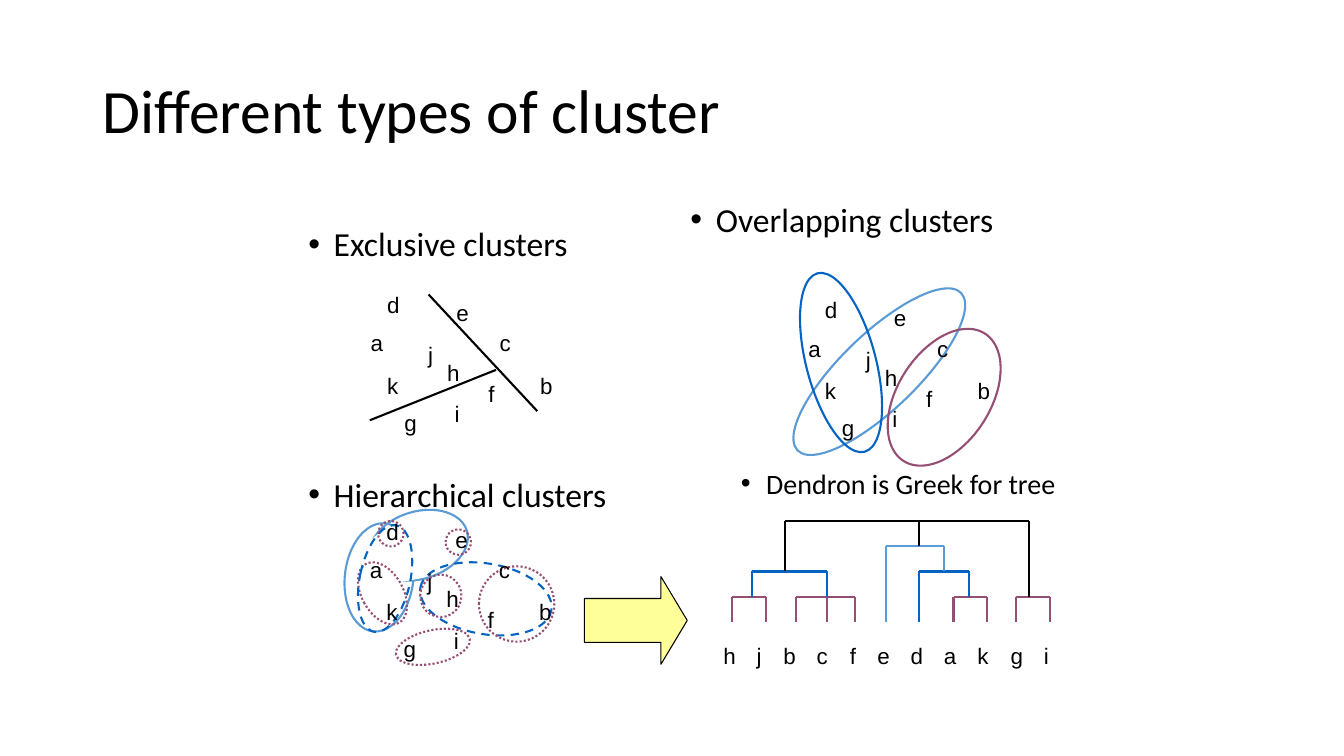
"""Build a slide that compares exclusive, overlapping and hierarchical clusters."""
from lxml import etree
from pptx import Presentation
from pptx import util as u
from pptx.dml import color
from pptx.enum import dml, shapes, text
from pptx.oxml import ns

rgb = color.RGBColor.from_string
BLACK, WHITE, YELLOW = "000000", "FFFFFF", "FFFF99"
BLUE, SKY, PLUM = "0563C1", "5B9BD5", "954F72"
DASH, DOT = dml.MSO_LINE.DASH, dml.MSO_LINE.ROUND_DOT

prs = Presentation()
prs.slide_width, prs.slide_height = u.Cm(33.87), u.Cm(19.05)
s = prs.slides.add_slide(prs.slide_layouts[6])


def add_text(content, x=0, y=0, w=0, h=0, tf=None, size=16, font="Arial", wrap=False,
             anchor=text.MSO_ANCHOR.TOP, spacing=1.0, before=0, bullet_at=None):
    """Write one paragraph in a new box, or below the text of tf."""
    if tf is None:
        tf = s.shapes.add_textbox(u.Cm(x), u.Cm(y), u.Cm(w), u.Cm(h)).text_frame
        tf.word_wrap, tf.vertical_anchor = wrap, anchor
        p = tf.paragraphs[0]
    else:
        p = tf.add_paragraph()
    p.line_spacing = spacing
    if before:
        p.space_before = u.Pt(before)
    if bullet_at is not None:
        pPr = p._p.get_or_add_pPr()
        pPr.set("marL", str(u.Cm(bullet_at + 0.64)))
        pPr.set("indent", str(u.Cm(-0.64)))
        etree.SubElement(pPr, ns.qn("a:buFont"), typeface="Arial")
        etree.SubElement(pPr, ns.qn("a:buChar"), char="•")
    r = p.add_run()
    r.text = content
    r.font.size, r.font.name = u.Pt(size), font
    r.font.color.rgb = rgb(BLACK)
    return tf


def set_line(sp, line, width=1.5, dash=None):
    """Give a shape or connector its line, and no shadow."""
    if line:
        sp.line.color.rgb = rgb(line)
        sp.line.width = u.Pt(width)
        if dash:
            sp.line.dash_style = dash
    else:
        sp.line.fill.background()
    etree.SubElement(sp._element.spPr, ns.qn("a:effectLst"))


add_text("Different types of cluster", 2.34, 1.02, 29.21, 3.68, size=44, font="Calibri",
         wrap=True, anchor=text.MSO_ANCHOR.MIDDLE, spacing=0.9)
right = add_text("Overlapping clusters", 17.15, 5.08, 14.4, 8.26, size=24, font="Calibri",
                 wrap=True, spacing=0.8, bullet_at=0)
add_text("Dendron is Greek for tree", tf=right, size=20, font="Calibri", spacing=0.8,
         before=167, bullet_at=1.27)
left = add_text("Exclusive clusters", 7.52, 5.61, 11.33, 11.43, size=24, font="Calibri",
                wrap=True, spacing=0.9, bullet_at=0)
add_text("Hierarchical clusters", tf=left, size=24, font="Calibri", spacing=0.9,
         before=153, bullet_at=0)

ellipses = [
    (19.3, 8.41, 5.72, 1.91, 316.1, SKY, None),
    (21.89, 8.84, 3.81, 2.34, 302.6, PLUM, None),
    (18.87, 8.26, 4.65, 1.75, 75.2, BLUE, None),
    (8.69, 13.18, 1.73, 2.74, 6.5, SKY, None),
    (9.7, 12.47, 1.7, 2.54, 73.1, SKY, None),
    (9.6, 12.6, 1.47, 2.54, 73.1, None, None),
    (10.57, 14.2, 3.35, 1.78, 9.7, BLUE, DASH),
    (10.59, 14.48, 1.04, 1.07, 0, PLUM, DOT),
    (12.07, 14.27, 1.9, 1.9, 0, PLUM, DOT),
    (9.12, 14.1, 1.04, 1.7, 330.4, PLUM, DOT),
    (9.96, 15.88, 1.9, 0.84, 347.8, PLUM, DOT),
    (9.07, 13.21, 1.27, 2.74, 12, BLUE, DASH),
    (11.23, 13.34, 0.64, 0.64, 0, PLUM, DOT),
    (9.53, 13.13, 0.64, 0.64, 0, PLUM, DOT),
]
for x, y, w, h, angle, line, dash in ellipses:
    sp = s.shapes.add_shape(shapes.MSO_SHAPE.OVAL, u.Cm(x), u.Cm(y), u.Cm(w), u.Cm(h))
    sp.rotation = angle
    if line:
        sp.fill.background()
    else:
        sp.fill.solid()
        sp.fill.fore_color.rgb = rgb(WHITE)
    set_line(sp, line, dash=dash)

letter_widths = {"f": 0.66, "i": 0.64, "j": 0.64}
points = {"a": (0, 0), "b": (4.27, 1.07), "c": (3.25, 0), "d": (0.42, -0.97),
          "e": (2.16, -0.76), "f": (2.97, 1.27), "g": (0.85, 2), "h": (1.93, 0.74),
          "i": (2.12, 1.78), "j": (1.45, 0.3), "k": (0.42, 1.07)}
for x, y in [(20.12, 8.31), (9.09, 8.18), (9.07, 13.89)]:
    for letter, (dx, dy) in points.items():
        add_text(letter, x + dx, y + dy, letter_widths.get(letter, 0.81), 0.94)

x = 17.98
for letter in "hjbcfedakgi":
    w = letter_widths.get(letter, 0.81)
    add_text(letter, x, 16.05, w, 0.94)
    x += w + 0.03

lines = [(10.8, 7.42, 13.54, 10.36, BLACK), (12.5, 9.32, 9.32, 10.59, BLACK)]
levels = [15.67 - 2.54 / 4 * n for n in range(5)]
stems = [(20.85, 0, 1, PLUM), (23.16, 3, 4, BLACK)]
brackets = [
    (18.44, 19.3, 0, 0, 1, PLUM),
    (20.07, 21.54, 0, 0, 1, PLUM),
    (24.03, 24.87, 0, 0, 1, PLUM),
    (25.6, 26.47, 0, 0, 1, PLUM),
    (18.95, 20.85, 1, 1, 2, BLUE),
    (23.16, 24.43, 0, 1, 2, BLUE),
    (22.33, 23.8, 0, 2, 3, SKY),
    (19.79, 25.93, 2, 1, 4, BLACK),
]
for x1, x2, foot1, foot2, top, line in brackets:
    stems += [(x1, foot1, top, line), (x2, foot2, top, line)]
    lines.append((x1, levels[top], x2, levels[top], line))
for x, foot, top, line in stems:
    lines.append((x, levels[foot], x, levels[top], line))
for x1, y1, x2, y2, line in lines:
    set_line(s.shapes.add_connector(shapes.MSO_CONNECTOR.STRAIGHT,
                                    u.Cm(x1), u.Cm(y1), u.Cm(x2), u.Cm(y2)), line)

arrow = s.shapes.add_shape(shapes.MSO_SHAPE.RIGHT_ARROW,
                           u.Cm(14.73), u.Cm(14.53), u.Cm(2.59), u.Cm(2.21))
arrow.adjustments[0], arrow.adjustments[1] = 0.5, 0.3
arrow.fill.solid()
arrow.fill.fore_color.rgb = rgb(YELLOW)
set_line(arrow, BLACK, width=0.75)

prs.save("out.pptx")
